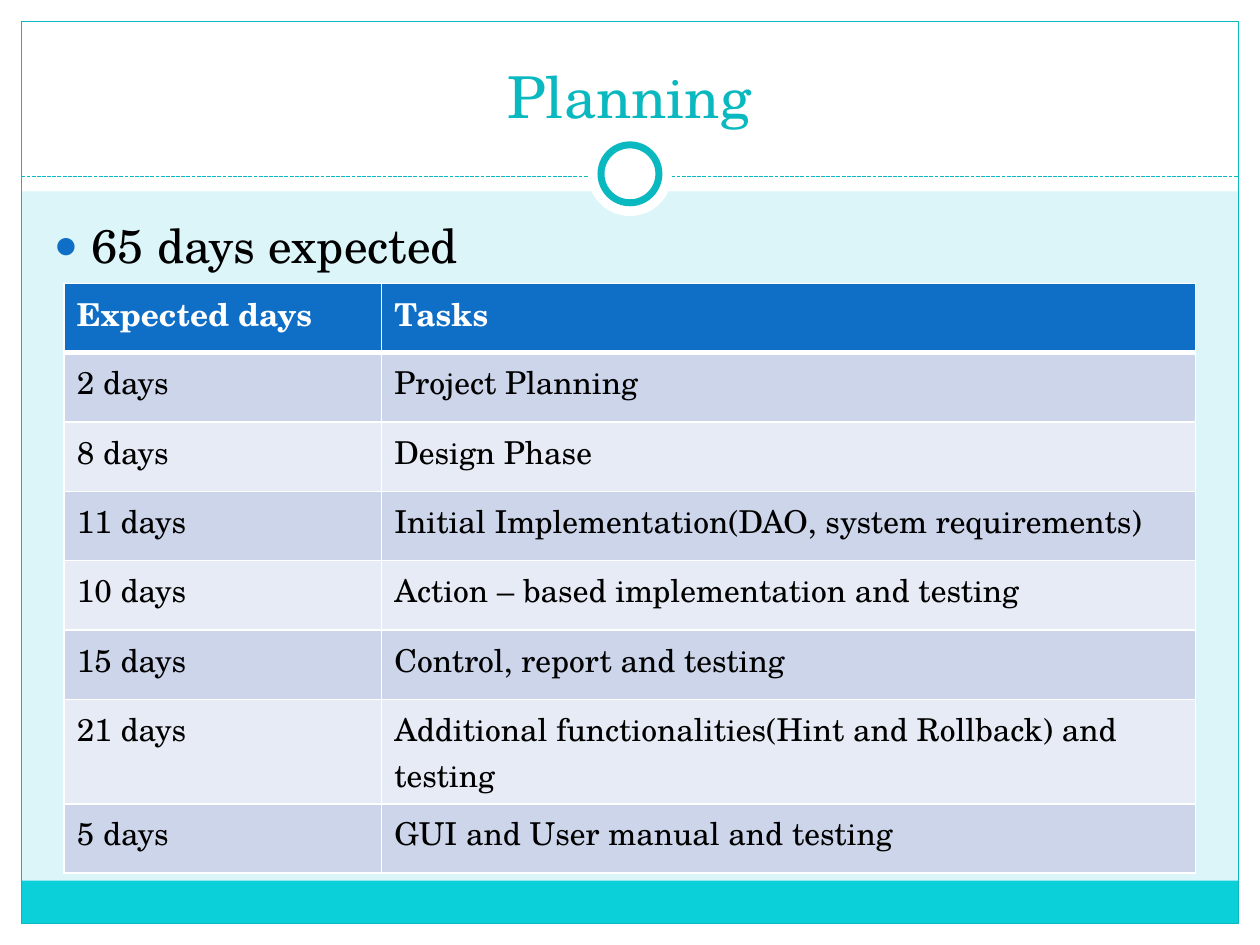
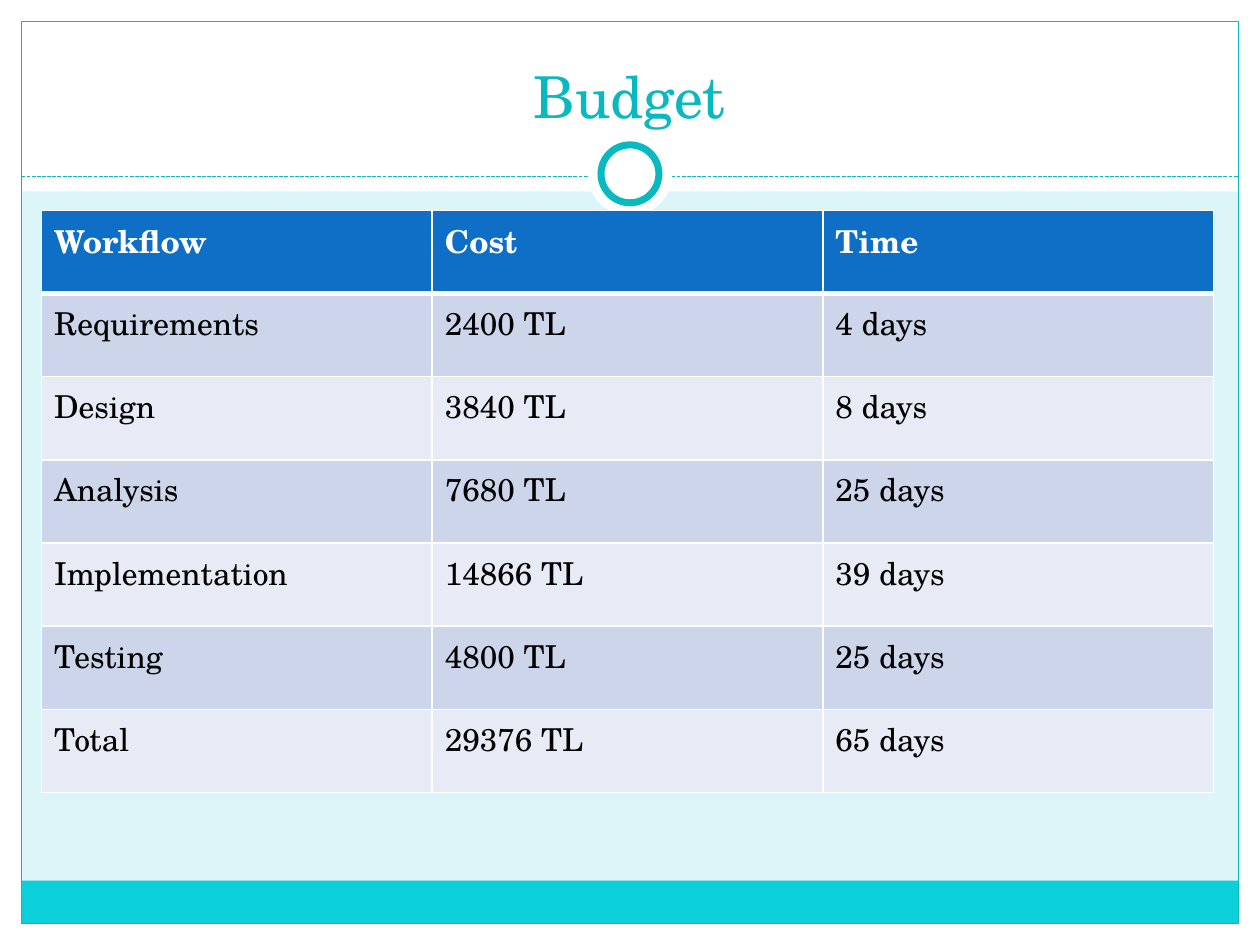
from lxml.etree import SubElement
from pptx import Presentation
from pptx.dml.color import RGBColor
from pptx.enum.dml import MSO_LINE
from pptx.enum.shapes import MSO_CONNECTOR, MSO_SHAPE
from pptx.enum.text import MSO_ANCHOR, PP_ALIGN
from pptx.oxml import parse_xml
from pptx.oxml.ns import nsdecls, qn
from pptx.util import Inches, Pt

FONT = "TeX Gyre Schola"
COLORS = {
    "background": "DBF5F9",
    "white": "FFFFFF",
    "black": "000000",
    "accent": "0AB8BF",
    "footer": "0BD0D9",
    "header": "0F6FC6",
    "odd_row": "CCD5EA",
    "even_row": "E7EBF5",
}
WIDTH, HEIGHT, MARGIN = 10, 7.5, 0.17
TITLE_BOX = (0.33, 0.25, 9.33, 0.83)
CONTENT_BOX = (0.33, 1.67, 9.3, 5)

TASKS = [
    ("Expected days", "Tasks"),
    ("2 days", "Project Planning"),
    ("8 days", "Design Phase"),
    ("11 days", "Initial Implementation(DAO, system requirements)"),
    ("10 days", "Action – based implementation and testing"),
    ("15 days", "Control, report and testing"),
    ("21 days", "Additional functionalities(Hint and Rollback) and testing"),
    ("5 days", "GUI and User manual and testing"),
]
TASK_HEIGHTS = [0.55] * 6 + [0.83, 0.55]
COSTS = [
    ("Workflow", "Cost", "Time"),
    ("Requirements", "2400 TL", "4 days"),
    ("Design", "3840 TL", "8 days"),
    ("Analysis", "7680 TL", "25 days"),
    ("Implementation", "14866 TL", "39 days"),
    ("Testing", "4800 TL", "25 days"),
    ("Total", "29376 TL", "65 days"),
]


def rgb(name):
    return RGBColor.from_string(COLORS[name])


def inches(box):
    return [Inches(value) for value in box]


def style_text(paragraph, size, color, bold=False):
    font = paragraph.font
    font.name, font.size, font.bold = FONT, Pt(size), bold
    font.color.rgb = rgb(color)


def add_plain(slide, kind, box, fill=None, line=None, weight=0.75):
    shape = slide.shapes.add_shape(kind, *inches(box))
    shape.shadow.inherit = False
    if fill:
        shape.fill.solid()
        shape.fill.fore_color.rgb = rgb(fill)
    else:
        shape.fill.background()
    if line:
        shape.line.color.rgb = rgb(line)
        shape.line.width = Pt(weight)
    else:
        shape.line.fill.background()


def add_ring(slide, center_x, center_y):
    def circle(size):
        return center_x - size / 2, center_y - size / 2, size, size

    add_plain(slide, MSO_SHAPE.OVAL, circle(0.67), "white")
    add_plain(slide, MSO_SHAPE.OVAL, circle(0.46), "white", "accent", 4)


def add_frame(slide):
    right, bottom = WIDTH - MARGIN, HEIGHT - MARGIN
    inner_width, footer_height, divider_y = WIDTH - 2 * MARGIN, 0.34, 1.4
    for band in [
        (0, bottom, WIDTH, MARGIN),
        (0, 0, WIDTH, 1.52),
        (0, 0, MARGIN, HEIGHT),
        (right, 0, MARGIN, HEIGHT),
    ]:
        add_plain(slide, MSO_SHAPE.RECTANGLE, band, "white")
    footer = (MARGIN, bottom - footer_height, inner_width, footer_height)
    add_plain(slide, MSO_SHAPE.RECTANGLE, footer, "footer")
    border = (MARGIN, MARGIN, inner_width, HEIGHT - 2 * MARGIN)
    add_plain(slide, MSO_SHAPE.RECTANGLE, border, line="accent")
    divider = slide.shapes.add_connector(
        MSO_CONNECTOR.STRAIGHT, *inches((MARGIN, divider_y, right, divider_y)))
    divider.line.color.rgb = rgb("accent")
    divider.line.width = Pt(0.75)
    divider.line.dash_style = MSO_LINE.SQUARE_DOT
    SubElement(divider.element.spPr, qn("a:effectLst"))
    add_ring(slide, WIDTH / 2, 1.38)


def add_title(slide, text, box):
    title = slide.shapes.title
    title.left, title.top, title.width, title.height = inches(box)
    title.text_frame.text = text
    title.text_frame.vertical_anchor = MSO_ANCHOR.BOTTOM
    heading = title.text_frame.paragraphs[0]
    heading.alignment = PP_ALIGN.CENTER
    style_text(heading, 33, "accent")
    title.element.getparent().append(title.element)


def add_bullet(slide, text, box):
    frame = slide.shapes.add_textbox(*inches(box)).text_frame
    frame.word_wrap = True
    bullet = frame.paragraphs[0]
    bullet.text = text
    bullet.space_before = Pt(5.4)
    style_text(bullet, 27, "black")
    properties = bullet._p.get_or_add_pPr()
    properties.set("marL", str(Inches(0.3)))
    properties.set("indent", str(-Inches(0.3)))
    marks = [
        f'<a:buClr {nsdecls("a")}><a:srgbClr val="{COLORS["header"]}"/></a:buClr>',
        f'<a:buSzPct {nsdecls("a")} val="85000"/>',
        f'<a:buFont {nsdecls("a")} typeface="Arial"/>',
        f'<a:buChar {nsdecls("a")} char="●"/>',
    ]
    position = properties.index(properties.find(qn("a:spcBef"))) + 1
    for offset, mark in enumerate(marks):
        properties.insert(position + offset, parse_xml(mark))


def set_borders(cell, top, bottom):
    properties = cell._tc.get_or_add_tcPr()
    weights = {"lnL": 1, "lnR": 1, "lnT": top, "lnB": bottom}
    for position, (side, weight) in enumerate(weights.items()):
        properties.insert(position, parse_xml(
            f'<a:{side} {nsdecls("a")} w="{Pt(weight)}"><a:solidFill>'
            f'<a:srgbClr val="{COLORS["white"]}"/></a:solidFill></a:{side}>'))


def add_grid(slide, rows, left, top, column_widths, row_heights):
    box = (left, top, sum(column_widths), sum(row_heights))
    table = slide.shapes.add_table(
        len(rows), len(column_widths), *inches(box)).table
    for column, width in zip(table.columns, column_widths):
        column.width = Inches(width)
    for row_number, (values, height) in enumerate(zip(rows, row_heights)):
        table.rows[row_number].height = Inches(height)
        is_header = row_number == 0
        fill = "header" if is_header else ("even_row", "odd_row")[row_number % 2]
        for column_number, value in enumerate(values):
            cell = table.cell(row_number, column_number)
            cell.text = value
            cell.fill.solid()
            cell.fill.fore_color.rgb = rgb(fill)
            style_text(cell.text_frame.paragraphs[0], 18,
                       "white" if is_header else "black", is_header)
            set_borders(cell, 3 if row_number == 1 else 1, 3 if is_header else 1)


def add_framed_slide(prs, title):
    slide = prs.slides.add_slide(prs.slide_layouts.get_by_name("Title Only"))
    add_frame(slide)
    add_title(slide, title, TITLE_BOX)
    return slide


def build_planning(prs, box):
    left, top, _, _ = box
    slide = add_framed_slide(prs, "Planning")
    add_bullet(slide, "65 days expected", box)
    add_grid(slide, TASKS, left + 0.18, top + 0.58, (2.52, 6.46), TASK_HEIGHTS)


def build_budget(prs, box):
    left, top, width, _ = box
    slide = add_framed_slide(prs, "Budget")
    add_grid(slide, COSTS, left, top, [width / 3] * 3, [0.66] * len(COSTS))


def main():
    prs = Presentation()
    prs.slide_width, prs.slide_height = Inches(WIDTH), Inches(HEIGHT)
    backdrop = prs.slide_master.background.fill
    backdrop.solid()
    backdrop.fore_color.rgb = rgb("background")
    build_planning(prs, CONTENT_BOX)
    build_budget(prs, CONTENT_BOX)
    prs.save("out.pptx")


if __name__ == "__main__":
    main()
